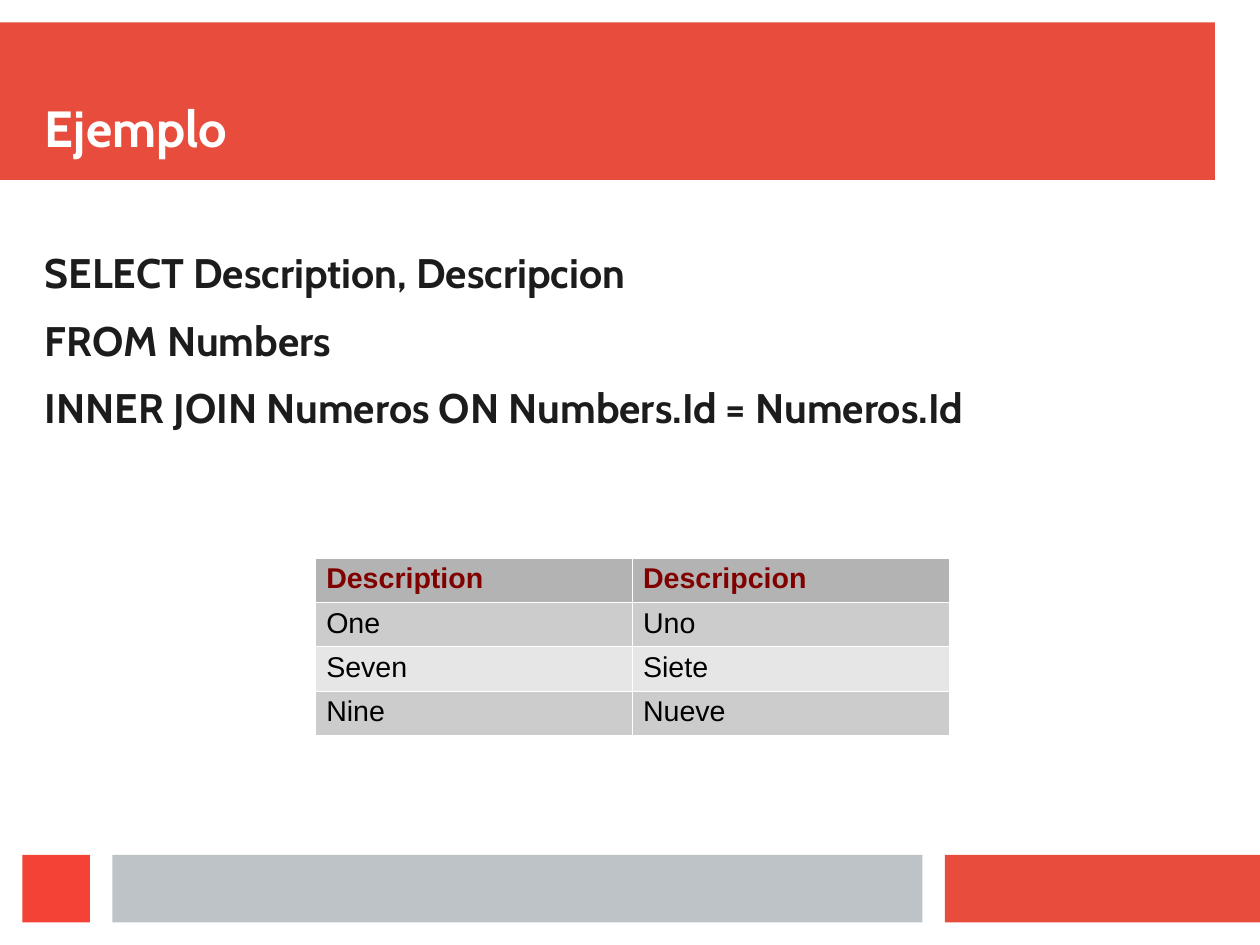
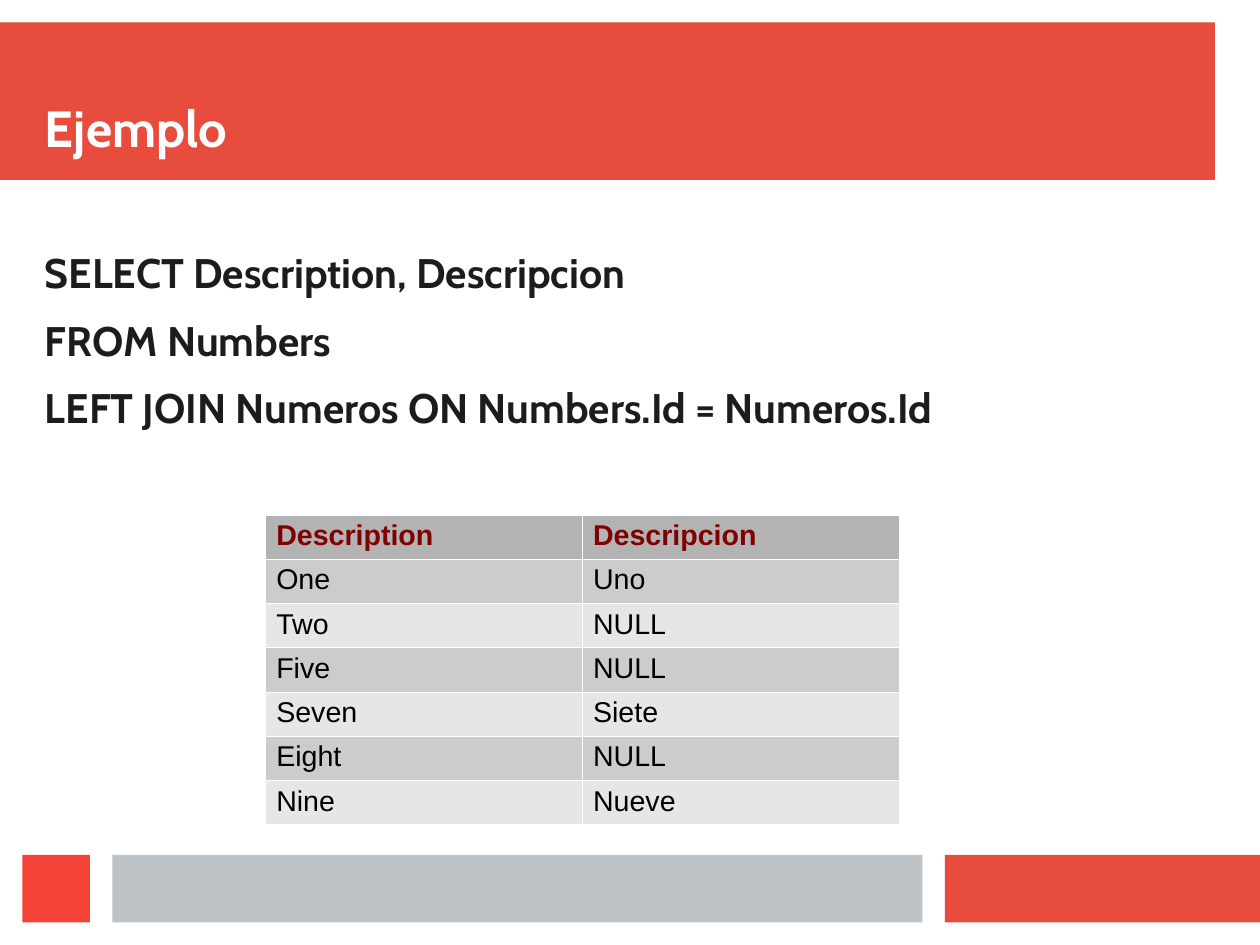
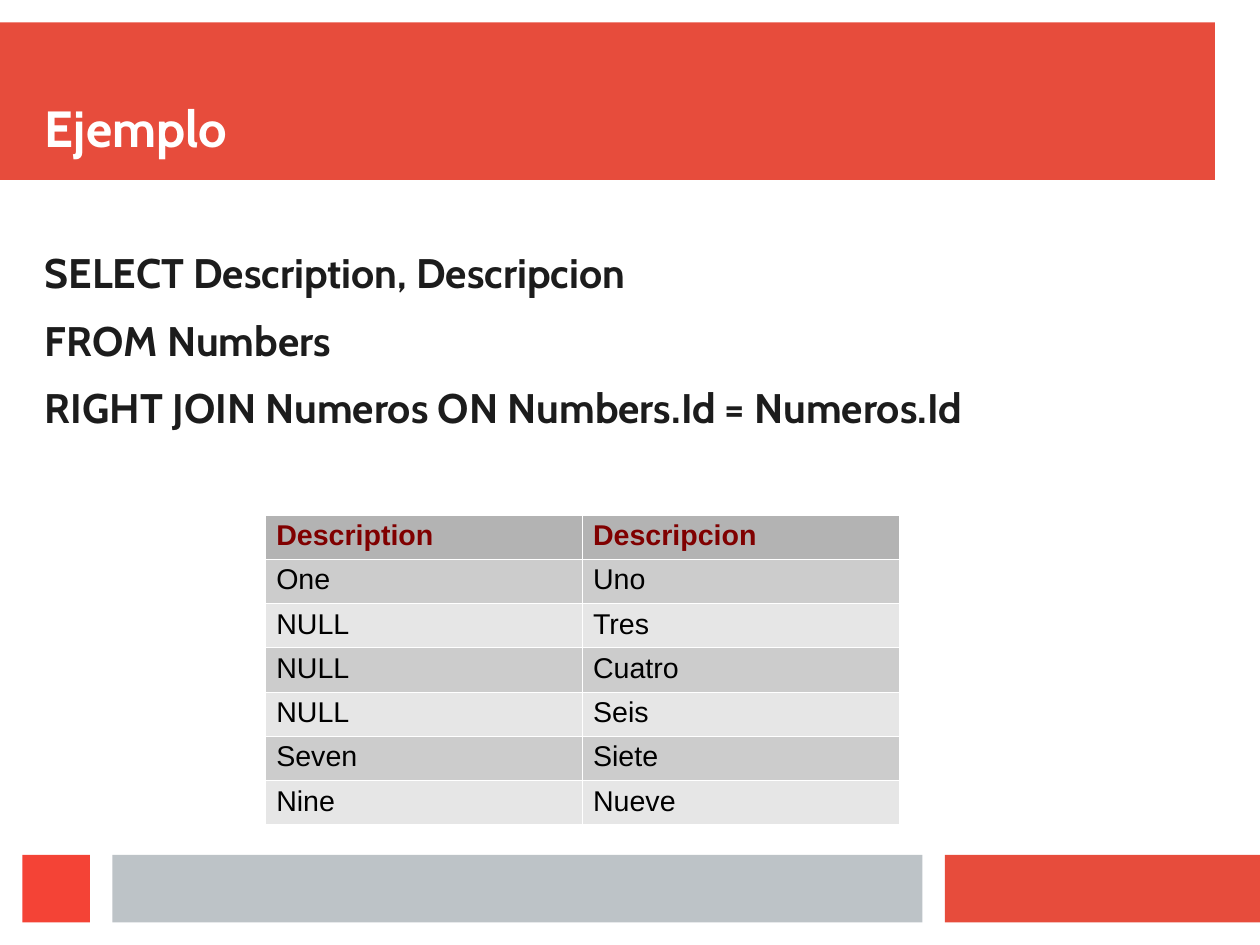
from lxml import etree
from pptx import Presentation
from pptx import util as u
from pptx.dml.color import RGBColor
from pptx.enum import shapes, text
from pptx.oxml.ns import qn

COLORS = {
    "band": "E74C3C",
    "square": "F44336",
    "gray": "BDC3C7",
    "title": "FFFFFF",
    "body": "1C1C1C",
    "head_text": "800000",
    "cell_text": "000000",
    "head": "B3B3B3",
    "odd": "CCCCCC",
    "even": "E6E6E6",
    "border": "FFFFFF",
}
BARS = [
    ("band", 0, 0.5, 27, 3.5),
    ("band", 21, 19, 7, 1.5),
    ("gray", 2.5, 19, 18, 1.5),
    ("square", 0.5, 19, 1.5, 1.5),
]
HEADER = ("Description", "Descripcion")
COL_WIDTH = 7.04
EXAMPLES = [
    ("INNER", 7, 12.4, 0.96,
     [("One", "Uno"), ("Seven", "Siete"), ("Nine", "Nueve")]),
    ("LEFT", 5.89, 11.44, 0.96,
     [("One", "Uno"), ("Two", "NULL"), ("Five", "NULL"), ("Seven", "Siete"),
      ("Eight", "NULL"), ("Nine", "Nueve")]),
    ("RIGHT", 5.89, 11.44, 0.97,
     [("One", "Uno"), ("NULL", "Tres"), ("NULL", "Cuatro"), ("NULL", "Seis"),
      ("Seven", "Siete"), ("Nine", "Nueve")]),
]


def rgb(name):
    return RGBColor.from_string(COLORS[name])


def style_runs(p, font, size, color, bold):
    for r in p.runs:
        r.font.name = font
        r.font.size = u.Pt(size)
        r.font.bold = bold
        r.font.color.rgb = rgb(color)


def add_bar(s, color, *box):
    sp = s.shapes.add_shape(shapes.MSO_SHAPE.RECTANGLE, *map(u.Cm, box))
    sp.shadow.inherit = False
    sp.fill.solid()
    sp.fill.fore_color.rgb = rgb(color)
    sp.line.fill.background()


def add_text(s, lines, box, size, color, anchor=text.MSO_ANCHOR.TOP, after=0):
    tf = s.shapes.add_textbox(*map(u.Cm, box)).text_frame
    tf.word_wrap = True
    tf.vertical_anchor = anchor
    tf.margin_left = tf.margin_right = tf.margin_top = tf.margin_bottom = 0
    tf.text = "\n".join(lines)
    for p in tf.paragraphs:
        p.space_after = u.Pt(after)
        style_runs(p, "Cabin", size, color, True)


def add_borders(cell):
    tc_pr = cell._tc.get_or_add_tcPr()
    for i, side in enumerate(("lnL", "lnR", "lnT", "lnB")):
        ln = etree.Element(qn(f"a:{side}"), w=str(u.Pt(0.06)))
        fill = etree.SubElement(ln, qn("a:solidFill"))
        etree.SubElement(fill, qn("a:srgbClr"), val=COLORS["border"])
        tc_pr.insert(i, ln)


def format_cell(cell, value, row):
    head = row == 0
    cell.text = value
    cell.margin_left = cell.margin_right = u.Cm(0.25)
    cell.margin_top = cell.margin_bottom = u.Cm(0.11)
    cell.fill.solid()
    cell.fill.fore_color.rgb = rgb("head" if head else "odd" if row % 2 else "even")
    style_runs(cell.text_frame.paragraphs[0], "Arial", 18,
               "head_text" if head else "cell_text", head)
    add_borders(cell)


def add_result(s, left, top, row_height, rows):
    rows = [HEADER, *rows]
    box = (left, top, COL_WIDTH * len(HEADER), row_height * len(rows))
    table = s.shapes.add_table(len(rows), len(HEADER), *map(u.Cm, box)).table
    table.first_row = table.horz_banding = False
    for col in table.columns:
        col.width = u.Cm(COL_WIDTH)
    for i, values in enumerate(rows):
        table.rows[i].height = u.Cm(row_height)
        for j, value in enumerate(values):
            format_cell(table.cell(i, j), value, i)


def add_example(prs, join, left, top, row_height, rows):
    s = prs.slides.add_slide(prs.slide_layouts[6])
    for bar in BARS:
        add_bar(s, *bar)
    add_text(s, ["Ejemplo"], (1, 1, 26, 2.5), 32, "title", text.MSO_ANCHOR.BOTTOM)
    query = [
        "SELECT Description, Descripcion",
        "FROM Numbers",
        f"{join} JOIN Numeros ON Numbers.Id = Numeros.Id",
    ]
    add_text(s, query, (1, 5.5, 25.5, 5.3), 26, "body", after=11.4)
    add_result(s, left, top, row_height, rows)


def main():
    prs = Presentation()
    prs.slide_width, prs.slide_height = u.Cm(28), u.Cm(21)
    for example in EXAMPLES:
        add_example(prs, *example)
    prs.save("out.pptx")


if __name__ == "__main__":
    main()
